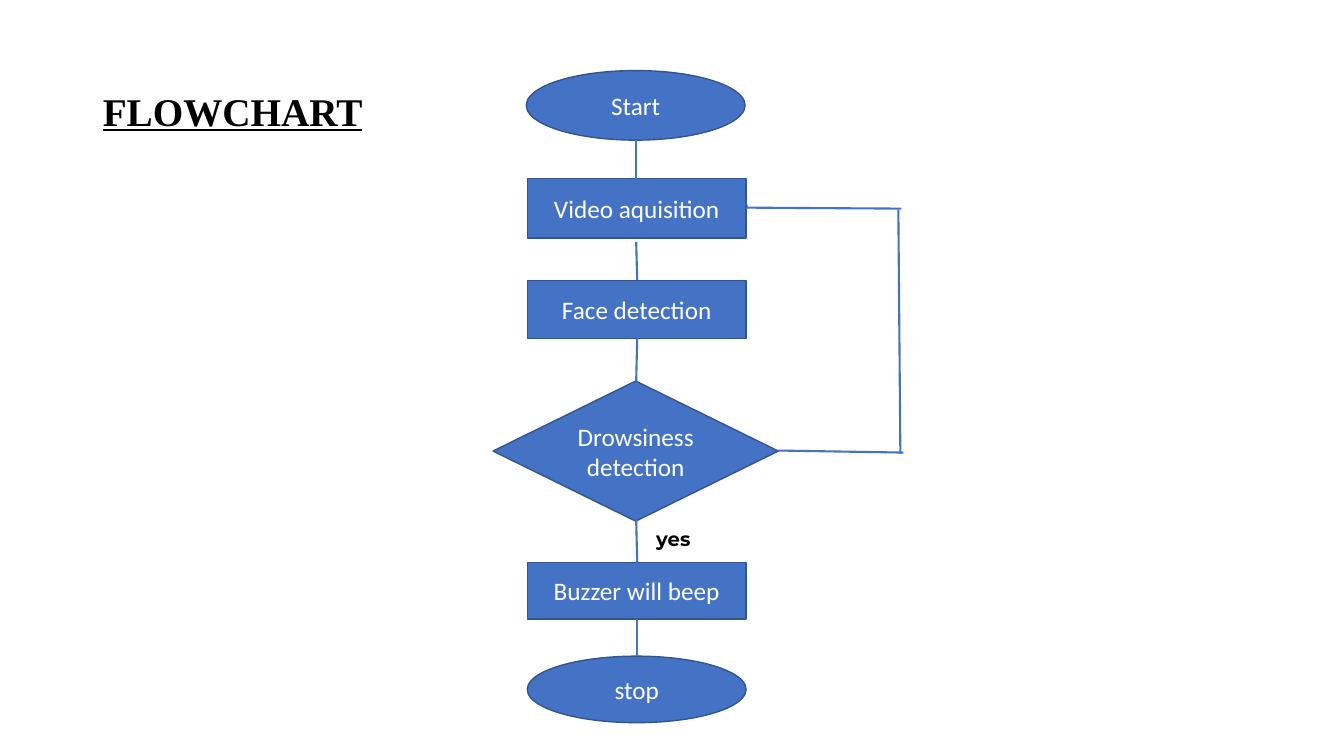
from lxml.etree import SubElement
from pptx import Presentation
from pptx.dml.color import RGBColor
from pptx.enum.shapes import MSO_CONNECTOR as Link, MSO_SHAPE as Shape
from pptx.enum.text import MSO_ANCHOR as Anchor, MSO_AUTO_SIZE as AutoSize, PP_ALIGN as Align
from pptx.oxml.ns import qn
from pptx.util import Pt

PX = 9144
BLUE, EDGE, WHITE, BLACK = "4472C4", "325491", "FFFFFF", "000000"


def px(*lengths):
    return [length * PX for length in lengths]


def color(value):
    return RGBColor.from_string(value)


def write(shape, text, font, size, ink, align, anchor, bold=False, underline=False):
    frame = shape.text_frame
    frame.text = text
    frame.word_wrap = True
    frame.auto_size = AutoSize.NONE
    frame.vertical_anchor = anchor
    para = frame.paragraphs[0]
    para.alignment = align
    span = para.runs[0]
    span.font.name = font
    span.font.size = Pt(size)
    span.font.bold = bold
    span.font.underline = underline
    span.font.color.rgb = color(ink)
    return para


def add_title(page, box):
    title = page.shapes.title
    title.left, title.top, title.width, title.height = px(*box)
    para = write(title, "FLOWCHART", "Times New Roman", 28, BLACK,
                 Align.LEFT, Anchor.MIDDLE, bold=True, underline=True)
    para.line_spacing = 0.9


def add_step(page, kind, text, box):
    step = page.shapes.add_shape(kind, *px(*box))
    step.shadow.inherit = False
    step.fill.solid()
    step.fill.fore_color.rgb = color(BLUE)
    step.line.color.rgb = color(EDGE)
    step.line.width = Pt(1)
    write(step, text, "Calibri", 18, WHITE, Align.CENTER, Anchor.MIDDLE)


def add_link(page, start, end, weight=1.5):
    link = page.shapes.add_connector(Link.STRAIGHT, *px(*start, *end))
    link.line.color.rgb = color(BLUE)
    link.line.width = Pt(weight)
    SubElement(link._element.spPr, qn("a:effectLst"))


def add_flow(page, box):
    left, top, width, height = box
    middle = left + width // 2
    steps = [
        (Shape.OVAL, "Start", -1, 0, 217, 69),
        (Shape.RECTANGLE, "Video aquisition", 0, 107, 217, 59),
        (Shape.RECTANGLE, "Face detection", 0, 208, 217, 58),
        (Shape.DIAMOND, "Drowsiness detection", -34, 308, 283, 139),
        (Shape.RECTANGLE, "Buzzer will beep", 0, 488, 217, 56),
        (Shape.OVAL, "stop", 0, 581, 217, 66),
    ]
    for kind, text, x, y, step_width, step_height in steps:
        add_step(page, kind, text, (left + x, top + y, step_width, step_height))

    links = [(0, 69, 0, 115), (0, 170, 1, 208), (1, 266, 0, 308),
             (0, 446, 1, 488), (1, 544, 1, 581)]
    for start_x, start_y, end_x, end_y in links:
        add_link(page, (middle + start_x, top + start_y), (middle + end_x, top + end_y))


def add_return_loop(page, box):
    left, top, width, height = box
    right, bottom = left + width, top + height
    add_link(page, (left + 32, bottom - 3), (right, bottom - 1))
    add_link(page, (left, top), (left + 2, top + 7), 0.5)
    add_link(page, (left, top + 6), (right - 2, top + 7))
    add_link(page, (right - 5, top + 8), (right - 3, bottom))


def add_answer(page, box):
    answer = page.shapes.add_textbox(*px(*box))
    para = write(answer, "yes", "Montserrat", 14, BLACK, Align.LEFT, Anchor.TOP, bold=True)
    para.line_spacing = 0.9


def main():
    deck = Presentation()
    deck.slide_width, deck.slide_height = px(1333, 750)
    page = deck.slides.add_slide(deck.slide_layouts[5])
    add_title(page, (92, 40, 1150, 145))
    add_answer(page, (641, 520, 57, 30))
    add_flow(page, (523, 70, 217, 647))
    add_return_loop(page, (740, 200, 156, 250))
    deck.save("out.pptx")


if __name__ == "__main__":
    main()
